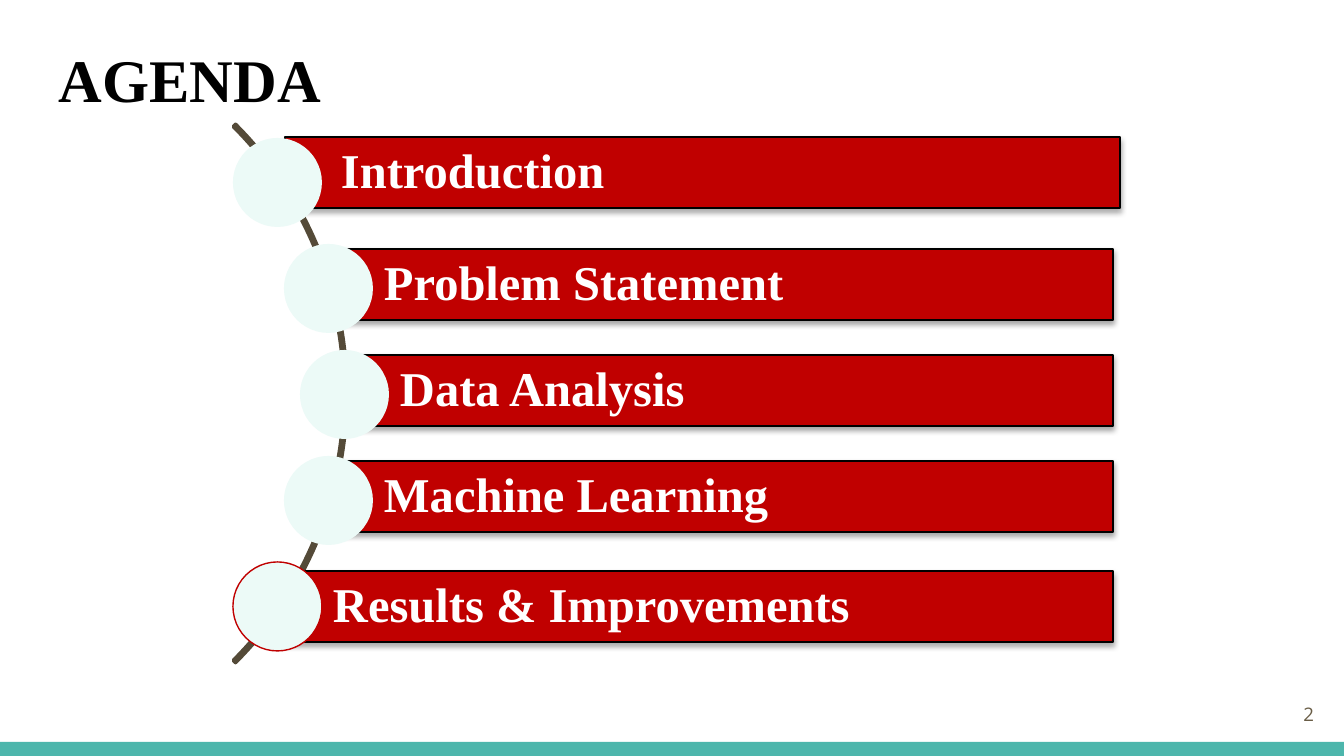
from lxml import etree
from pptx import Presentation
from pptx.dml.color import RGBColor
from pptx.enum.shapes import MSO_SHAPE
from pptx.enum.text import MSO_ANCHOR, MSO_AUTO_SIZE, PP_ALIGN
from pptx.oxml.ns import qn
from pptx.util import Emu, Pt

RECTANGLE, OVAL, BLOCK_ARC = MSO_SHAPE.RECTANGLE, MSO_SHAPE.OVAL, MSO_SHAPE.BLOCK_ARC
MIDDLE, NO_AUTOFIT = MSO_ANCHOR.MIDDLE, MSO_AUTO_SIZE.NONE
LEFT, RIGHT = PP_ALIGN.LEFT, PP_ALIGN.RIGHT
TITLE_ONLY = 5
EMU_PER_PX = 914400 / 134.4
SERIF, SANS = "Times New Roman", "Open Sans"
COLORS = {
    "teal": "4DB6AC",
    "red": "C00000",
    "mint": "ECFAF7",
    "brown": "544A38",
    "taupe": "695D46",
    "black": "000000",
    "white": "FFFFFF",
}
BAR_HEIGHT, DOT_SIZE = 71, 89
DOT_TOP, DOT_PITCH = 138, 106
# label, dot left, bar left, bar top, bar right
AGENDA = [
    ("Introduction", 233, 285, 137, 1120),
    ("Problem Statement", 284, 328, 249, 1113),
    ("Data Analysis", 300, 344, 355, 1113),
    ("Machine Learning", 284, 328, 461, 1113),
    ("Results & Improvements", 233, 277, 571, 1113),
]


def px(length):
    """Turn pixels into EMU."""
    return Emu(round(length * EMU_PER_PX))


def color(name):
    """Look up a palette colour."""
    return RGBColor.from_string(COLORS[name])


def write(shape, text, *, size, font=SERIF, ink="white", bold=True, align=LEFT,
          insets=(13, 13, 13, 13), spacing=1.0):
    """Put one formatted paragraph into a shape."""
    frame = shape.text_frame
    frame.word_wrap = True
    frame.auto_size = NO_AUTOFIT
    frame.vertical_anchor = MIDDLE
    (frame.margin_left, frame.margin_top,
     frame.margin_right, frame.margin_bottom) = map(px, insets)
    paragraph = frame.paragraphs[0]
    paragraph.alignment = align
    paragraph.line_spacing = spacing
    run = paragraph.add_run()
    run.text = text
    run.font.name = font
    run.font.size = Pt(size)
    run.font.bold = bold
    run.font.color.rgb = color(ink)


def add_shape(slide, preset, box, fill=None, line=None, width=0.75):
    """Add a flat preset shape with optional fill and outline."""
    shape = slide.shapes.add_shape(preset, *map(px, box))
    shape.shadow.inherit = False
    if fill:
        shape.fill.solid()
        shape.fill.fore_color.rgb = color(fill)
    else:
        shape.fill.background()
    if line:
        shape.line.color.rgb = color(line)
        shape.line.width = Pt(width)
    else:
        shape.line.fill.background()
    return shape


def add_drop_shadow(shape):
    """Give a shape a soft shadow straight below it."""
    effects = shape.element.spPr.find(qn("a:effectLst"))
    shadow = etree.SubElement(effects, qn("a:outerShdw"), blurRad=str(Pt(3.1)),
                              dist=str(Pt(1.8)), dir="5400000", rotWithShape="0")
    tint = etree.SubElement(shadow, qn("a:srgbClr"), val=COLORS["black"])
    etree.SubElement(tint, qn("a:alpha"), val="35000")


def add_title(slide, text):
    """Place and fill the title placeholder."""
    title = slide.shapes.title
    title.left, title.top, title.width, title.height = map(px, (46, 27, 1253, 103))
    write(title, text, size=32.4, ink="black")


def add_arc(slide):
    """Draw the thin curve that the agenda dots sit on."""
    arc = add_shape(slide, BLOCK_ARC, (-414, 13, 761, 761), line="brown", width=2)
    for index, value in enumerate((189, 27, 0.004)):
        arc.adjustments[index] = value


def add_agenda_item(slide, index, label, dot_left, left, top, right):
    """Draw one agenda bar with its dot."""
    bar = add_shape(slide, RECTANGLE, (left, top, right - left, BAR_HEIGHT),
                    fill="red", line="black")
    add_drop_shadow(bar)
    write(bar, label, size=26, insets=(56, 9, 9, 9), spacing=0.9)
    outline = "red" if index == len(AGENDA) - 1 else None
    dot_top = DOT_TOP + index * DOT_PITCH
    add_shape(slide, OVAL, (dot_left, dot_top, DOT_SIZE, DOT_SIZE), "mint", outline)


def add_page_number(slide, number):
    """Write the page number at the lower right."""
    box = slide.shapes.add_textbox(*map(px, (1246, 685, 81, 58)))
    write(box, number, size=10, font=SANS, ink="taupe", bold=False, align=RIGHT)


def main():
    """Build the agenda slide."""
    deck = Presentation()
    deck.slide_width, deck.slide_height = px(1344), px(756)
    slide = deck.slides.add_slide(deck.slide_layouts[TITLE_ONLY])
    add_shape(slide, RECTANGLE, (0, 742, 1344, 14), fill="teal")
    add_title(slide, "AGENDA")
    add_page_number(slide, "2")
    add_arc(slide)
    for index, item in enumerate(AGENDA):
        add_agenda_item(slide, index, *item)
    deck.save("out.pptx")


if __name__ == "__main__":
    main()
